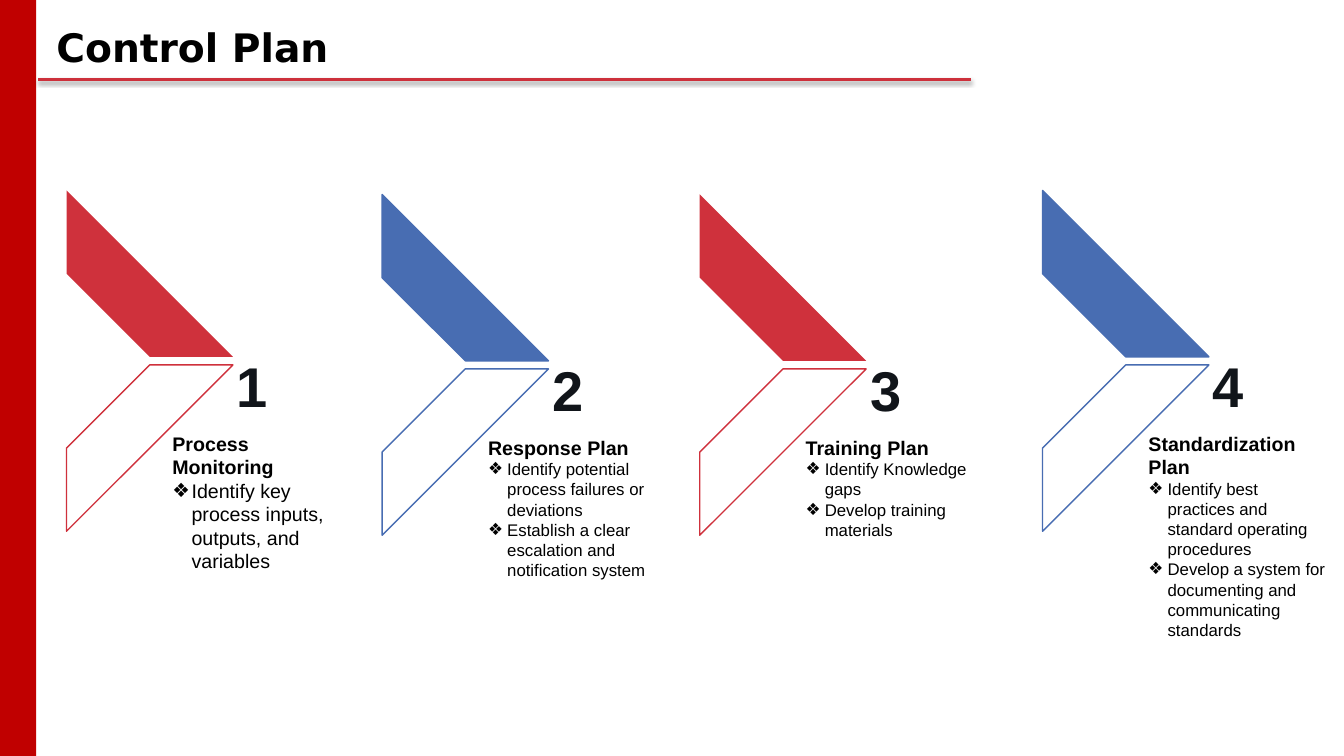
from lxml.etree import SubElement
from pptx import Presentation
from pptx.dml.color import RGBColor
from pptx.enum.shapes import MSO_CONNECTOR, MSO_SHAPE
from pptx.enum.text import MSO_ANCHOR, MSO_AUTO_SIZE, PP_ALIGN
from pptx.oxml.ns import qn
from pptx.util import Inches, Pt

RED = RGBColor(0xCF, 0x31, 0x3C)
BLUE = RGBColor(0x48, 0x6D, 0xB2)
BAR_RED = RGBColor(0xC0, 0x00, 0x00)
RULE_RED = RGBColor(0xCD, 0x30, 0x3B)
INK = RGBColor(0x11, 0x15, 0x1A)
BLACK = RGBColor(0x00, 0x00, 0x00)
WHITE = RGBColor(0xFF, 0xFF, 0xFF)
STRIPE = 1.65

STEPS = [
    (0.66, 1.89, RED, 14, ["Process", "Monitoring"],
     ["Identify key process inputs, outputs, and variables"]),
    (3.79, 1.93, BLUE, 12, ["Response Plan"],
     ["Identify potential process failures or deviations",
      "Establish a clear escalation and notification system"]),
    (6.94, 1.93, RED, 12, ["Training Plan"],
     ["Identify Knowledge gaps", "Develop training materials"]),
    (10.34, 1.89, BLUE, 12, ["Standardization Plan"],
     ["Identify best practices and standard operating procedures",
      "Develop a system for documenting and communicating standards"]),
]


def place(shape, left, top, width, height):
    """Move and size a shape, in inches."""
    shape.left, shape.top = Inches(left), Inches(top)
    shape.width, shape.height = Inches(width), Inches(height)


def set_frame(frame, margin, anchor):
    """Give a text frame equal margins, wrapping and an anchor."""
    frame.margin_left = frame.margin_right = Inches(margin)
    frame.margin_top = frame.margin_bottom = Inches(margin)
    frame.word_wrap = True
    frame.auto_size = MSO_AUTO_SIZE.NONE
    frame.vertical_anchor = anchor


def style_paragraph(paragraph, size, bold, color=BLACK, font="Arial"):
    """Format a paragraph and its runs."""
    paragraph.alignment = PP_ALIGN.LEFT
    paragraph.line_spacing = 1.0
    paragraph.space_before = paragraph.space_after = Pt(0)
    for span in paragraph.runs:
        span.font.name = font
        span.font.size = Pt(size)
        span.font.bold = bold
        span.font.color.rgb = color


def set_bullet(paragraph, symbol=None):
    """Hang a paragraph on a bullet symbol, or remove its bullet."""
    properties = paragraph._p.get_or_add_pPr()
    indent = Inches(0.19) if symbol else 0
    properties.set("marL", str(indent))
    properties.set("indent", str(-indent))
    if symbol:
        color = SubElement(properties, qn("a:buClr"))
        SubElement(color, qn("a:srgbClr"), val=str(BLACK))
        SubElement(properties, qn("a:buFont"), typeface="Arial")
        SubElement(properties, qn("a:buChar"), char=symbol)
    else:
        SubElement(properties, qn("a:buNone"))


def add_title(page, text):
    """Fill the title placeholder."""
    title = page.shapes.title
    place(title, 0.56, 0.22, 6.67, 0.48)
    title.text_frame.text = text
    set_frame(title.text_frame, 0, MSO_ANCHOR.MIDDLE)
    style_paragraph(title.text_frame.paragraphs[0], 28, True, font="DejaVu Sans")


def add_side_bar(page):
    """Draw the bar along the left edge."""
    bar = page.shapes.add_shape(MSO_SHAPE.RECTANGLE, 0, 0, Inches(0.36), Inches(7.5))
    bar.shadow.inherit = False
    bar.fill.solid()
    bar.fill.fore_color.rgb = BAR_RED
    bar.line.fill.background()


def add_title_rule(page):
    """Draw the shadowed line under the title."""
    rule = page.shapes.add_connector(
        MSO_CONNECTOR.STRAIGHT, Inches(0.38), Inches(0.79), Inches(9.63), Inches(0.79))
    rule.line.color.rgb = RULE_RED
    rule.line.width = Pt(2)
    effects = SubElement(rule._element.spPr, qn("a:effectLst"))
    shadow = SubElement(effects, qn("a:outerShdw"), blurRad=str(Pt(3.1)),
                        dist=str(Pt(1.6)), dir="5400000", rotWithShape="0")
    color = SubElement(shadow, qn("a:srgbClr"), val=str(BLACK))
    SubElement(color, qn("a:alpha"), val="37000")


def add_stripe(page, left, top, color, filled):
    """Draw half an arrow: a filled upper stripe or an outlined lower one."""
    stripe = page.shapes.add_shape(
        MSO_SHAPE.DIAGONAL_STRIPE, Inches(left), Inches(top), Inches(STRIPE), Inches(STRIPE))
    stripe.shadow.inherit = False
    stripe.fill.solid()
    stripe.fill.fore_color.rgb = color if filled else WHITE
    if filled:
        stripe._element.spPr.xfrm.set("flipV", "1")
    else:
        fill_color = stripe._element.spPr.find(qn("a:solidFill"))[0]
        SubElement(fill_color, qn("a:alpha"), val="20000")
    if filled and color == RED:
        stripe.line.fill.background()
    else:
        stripe.line.color.rgb = color
        stripe.line.width = Pt(1)


def add_number(page, left, top, number):
    """Write the step number beside the arrow tip."""
    box = page.shapes.add_textbox(Inches(left), Inches(top), Inches(0.42), Inches(0.75))
    box.text_frame.text = str(number)
    set_frame(box.text_frame, 0.04, MSO_ANCHOR.TOP)
    style_paragraph(box.text_frame.paragraphs[0], 40, True, INK)


def fill_step_text(body, left, top, size, heading, points):
    """Write a heading and its bulleted points in a body placeholder."""
    place(body, left, top, 1.8, 1.88)
    frame = body.text_frame
    frame.text = "\n".join(heading + points)
    set_frame(frame, 0, MSO_ANCHOR.TOP)
    for index, paragraph in enumerate(frame.paragraphs):
        is_heading = index < len(heading)
        style_paragraph(paragraph, 14 if is_heading else size, is_heading)
        set_bullet(paragraph, None if is_heading else "❖")


def main():
    """Build and save the slide."""
    deck = Presentation()
    deck.slide_width, deck.slide_height = Inches(13.33), Inches(7.5)
    page = deck.slides.add_slide(deck.slide_layouts.get_by_name("Comparison"))
    add_title(page, "Control Plan")
    bodies = list(page.placeholders)[1:]
    for number, (body, step) in enumerate(zip(bodies, STEPS), 1):
        left, top, color, size, heading, points = step
        fill_step_text(body, left + 1.05, top + 2.39, size, heading, points)
        add_number(page, left + STRIPE, top + 1.56, number)
        add_stripe(page, left, top + 1.73, color, False)
        add_stripe(page, left, top, color, True)
    add_side_bar(page)
    add_title_rule(page)
    deck.save("out.pptx")


if __name__ == "__main__":
    main()
